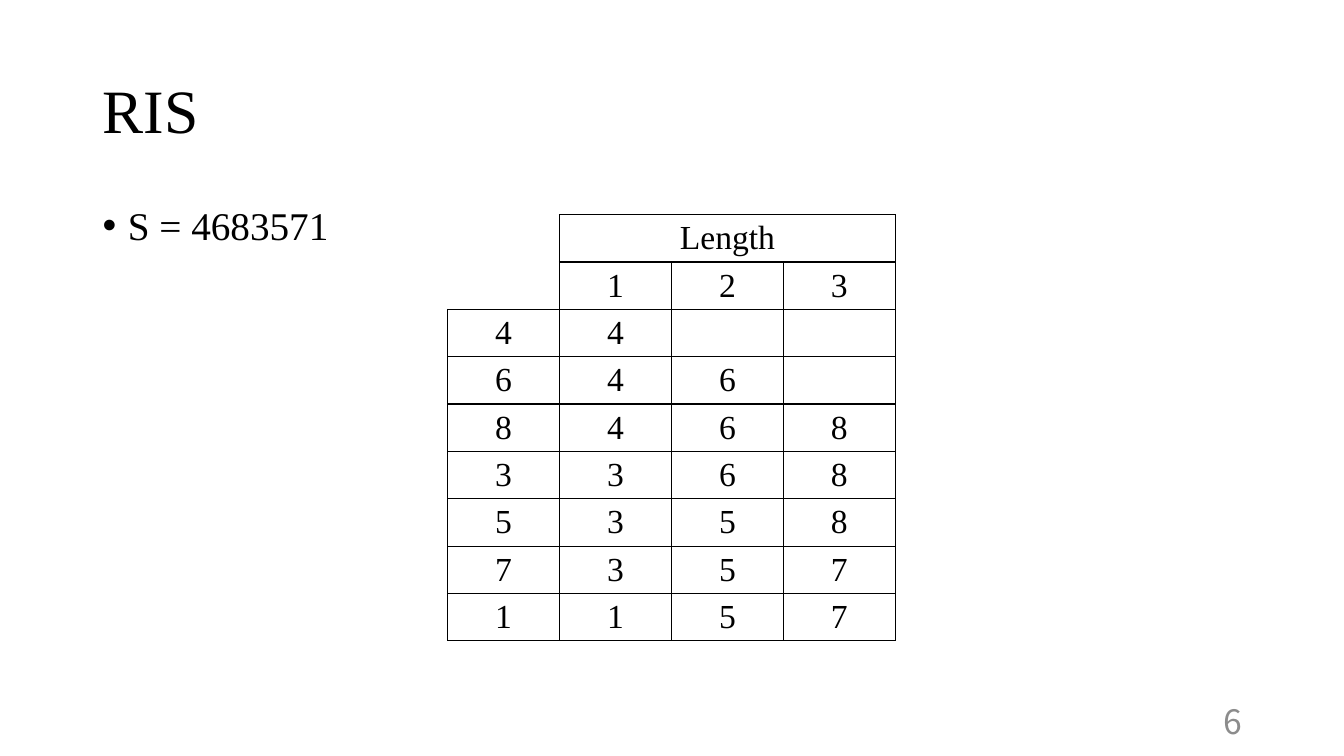
import pptx
import pptx.dml.color
import pptx.enum.text
import pptx.oxml
import pptx.oxml.ns
import pptx.util
from lxml import etree

BLACK = pptx.dml.color.RGBColor(0x00, 0x00, 0x00)
GRAY = pptx.dml.color.RGBColor(0x8C, 0x8C, 0x8C)
SERIF = "Times New Roman"
SANS = "Noto Sans CJK JP"
EMU_PER_PX = 9144
ANCHOR = pptx.enum.text.MSO_ANCHOR
ALIGN = pptx.enum.text.PP_ALIGN
qn = pptx.oxml.ns.qn


def px(count):
    return pptx.util.Emu(count * EMU_PER_PX)


class Page:
    """Hold the text style and the slide being built."""

    def __init__(self, deck, font=SERIF, color=BLACK):
        self.slide = deck.slides.add_slide(deck.slide_layouts[6])
        self.font = font
        self.color = color

    def style(self, para, size, align, font=None, color=None):
        para.alignment = align
        for span in para.runs:
            span.font.size = pptx.util.Pt(size)
            span.font.name = font or self.font
            span.font.color.rgb = color or self.color
            props = span.font._element
            for tag in ("a:ea", "a:cs"):
                etree.SubElement(props, qn(tag), typeface=font or self.font)

    def text(self, words, area, size, align=ALIGN.LEFT, anchor=ANCHOR.MIDDLE,
             spacing=None, bullet=False, font=None, color=None):
        box = self.slide.shapes.add_textbox(*map(px, area))
        frame = box.text_frame
        frame.word_wrap = True
        frame.vertical_anchor = anchor
        frame.text = words
        para = frame.paragraphs[0]
        if spacing:
            para.line_spacing = spacing
        if bullet:
            props = para._p.get_or_add_pPr()
            props.set("marL", str(px(25)))
            props.set("indent", str(px(-25)))
            etree.SubElement(props, qn("a:buFont"), typeface="Arial")
            etree.SubElement(props, qn("a:buChar"), char="•")
        self.style(para, size, align, font, color)

    def border(self, cell, edges):
        props = cell._tc.get_or_add_tcPr()
        for edge in "LRTB":
            line = etree.SubElement(props, qn("a:ln" + edge), w=str(pptx.util.Pt(1)))
            if edge in edges:
                fill = etree.SubElement(line, qn("a:solidFill"))
                etree.SubElement(fill, qn("a:srgbClr"), val=str(BLACK))
            else:
                etree.SubElement(line, qn("a:noFill"))

    def table(self, rows, left, top, column_width, row_height, size):
        count = len(rows[0])
        frame = self.slide.shapes.add_table(
            len(rows), count, px(left), px(top),
            px(column_width * count), px(row_height * len(rows)))
        grid = frame.table
        grid.first_row = grid.horz_banding = False
        for column in grid.columns:
            column.width = px(column_width)
        for row_index, row in enumerate(rows):
            grid.rows[row_index].height = px(row_height)
            for column_index, value in enumerate(row):
                cell = grid.cell(row_index, column_index)
                edges = "LRTB"
                if column_index == 0 and row_index < 2:
                    edges = "RB" if row_index == 1 else "R"
                self.border(cell, edges)
                cell.fill.background()
                cell.margin_top = cell.margin_bottom = px(3)
                cell.vertical_anchor = ANCHOR.MIDDLE
                cell.text = value
                self.style(cell.text_frame.paragraphs[0], size, ALIGN.CENTER)
        grid.cell(0, 1).merge(grid.cell(0, count - 1))


def main():
    deck = pptx.Presentation()
    deck.slide_width, deck.slide_height = px(1333), px(750)
    page = Page(deck)
    page.text("RIS", (92, 40, 1150, 145), 44, spacing=0.9)
    page.text("S = 4683571", (92, 200, 1150, 476), 28,
              anchor=ANCHOR.TOP, spacing=0.9, bullet=True)
    page.text("6", (942, 695, 300, 40), 24, align=ALIGN.RIGHT, font=SANS, color=GRAY)

    header = [["", "Length", "", ""], ["", "1", "2", "3"]]
    steps = ["44", "646", "8468", "3368", "5358", "7357", "1157"]
    body = [list(step.ljust(4)) for step in steps]
    rows = header + [[value.strip() for value in row] for row in body]
    page.table(rows, 444, 213, 111, 47, 24)
    deck.save("out.pptx")


if __name__ == "__main__":
    main()
